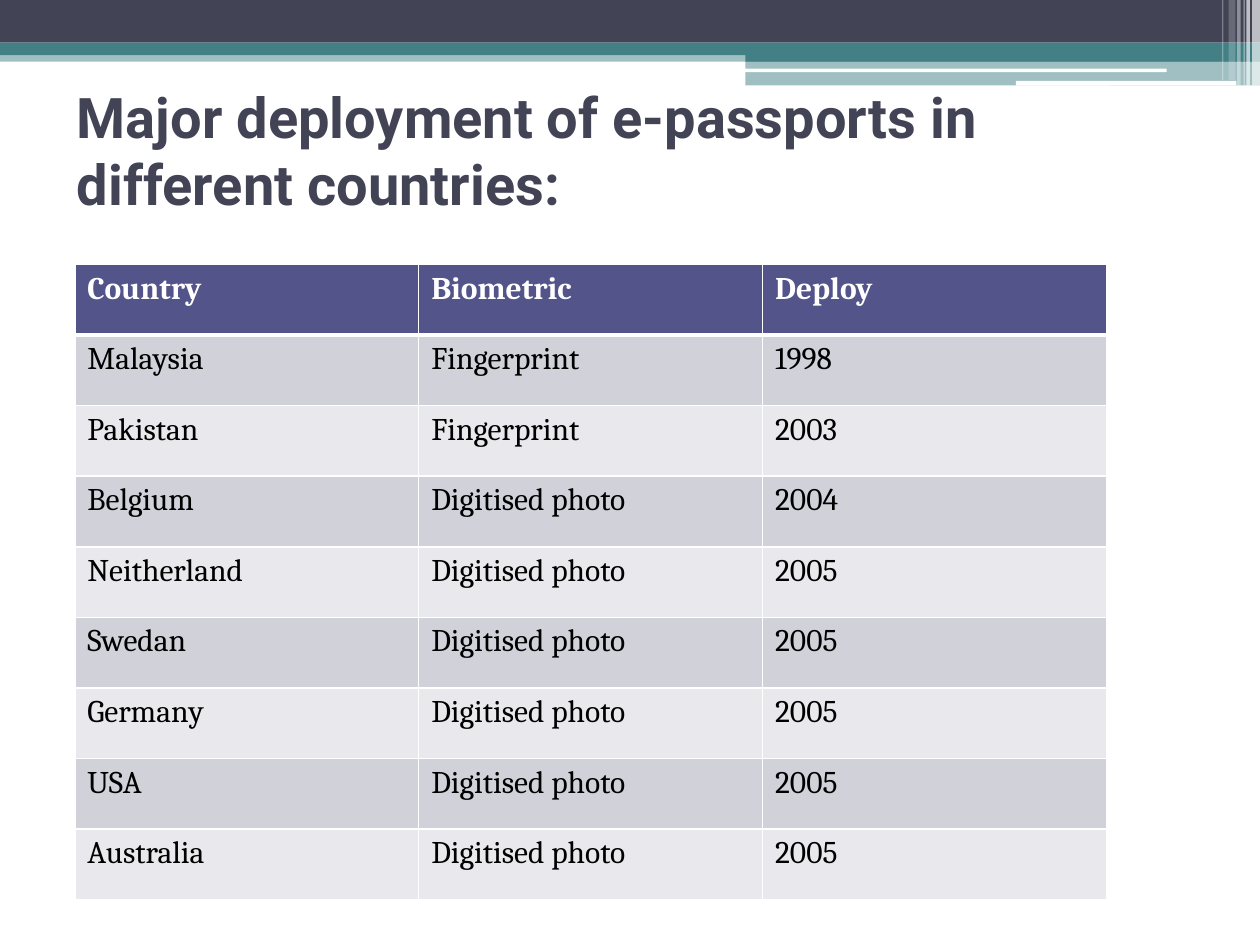
from lxml.etree import SubElement
from pptx import Presentation
from pptx.dml.color import RGBColor
from pptx.enum.shapes import MSO_SHAPE as Shape
from pptx.enum.text import MSO_ANCHOR as Anchor, MSO_AUTO_SIZE as AutoSize, PP_ALIGN as Align
from pptx.oxml.ns import qn
from pptx.util import Pt

WHITE = RGBColor(0xFF, 0xFF, 0xFF)
BLACK = RGBColor(0, 0, 0)
SLATE = RGBColor(0x42, 0x44, 0x56)
TEAL = RGBColor(0x43, 0x80, 0x86)
HEADER = RGBColor(0x53, 0x54, 0x8A)
ROW_DARK = RGBColor(0xD1, 0xD1, 0xDA)
ROW_LIGHT = RGBColor(0xE9, 0xE9, 0xED)

BANDS = [
    (0, 28.8, 720, 6.5, TEAL, 50),
    (0, 0, 720, 24.4, SLATE, 100),
    (0, 24.4, 720, 7.1, TEAL, 100),
    (426, 28, 294, 7.2, TEAL, 100),
    (426, 34.8, 294, 14, TEAL, 50),
]
HIGHLIGHTS = [(425.5, 39.2, 241.2, 2), (580.5, 46.3, 126, 2.6)]
STRIPES = [
    (715.5, 4.5, 49, 65),
    (712.2, 2, 49, 65),
    (710.6, 0.7, 49, 60),
    (707, 2, 49, 40),
    (702, 4, 46, 20),
    (698.4, 0.7, 46, 30),
]
ROWS = [
    ("Country", "Biometric", "Deploy"),
    ("Malaysia", "Fingerprint", "1998"),
    ("Pakistan", "Fingerprint", "2003"),
    ("Belgium", "Digitised photo", "2004"),
    ("Neitherland", "Digitised photo", "2005"),
    ("Swedan", "Digitised photo", "2005"),
    ("Germany", "Digitised photo", "2005"),
    ("USA", "Digitised photo", "2005"),
    ("Australia", "Digitised photo", "2005"),
]


def add_block(slide, kind, left, top, width, height, color, opacity=100):
    shape = slide.shapes.add_shape(kind, Pt(left), Pt(top), Pt(width), Pt(height))
    shape.shadow.inherit = False
    shape.line.fill.background()
    shape.fill.solid()
    shape.fill.fore_color.rgb = color
    if opacity < 100:
        color_element = shape.element.spPr.find(qn("a:solidFill"))[0]
        SubElement(color_element, qn("a:alpha"), val=str(opacity * 1000))


def add_banner(slide, left, top):
    for x, y, width, height, color, opacity in BANDS:
        add_block(slide, Shape.RECTANGLE, left + x, top + y, width, height, color, opacity)
    for x, y, width, height in HIGHLIGHTS:
        add_block(slide, Shape.ROUNDED_RECTANGLE, left + x, top + y, width, height, WHITE)
    for x, width, height, opacity in STRIPES:
        add_block(slide, Shape.RECTANGLE, left + x, top, width, height, WHITE, opacity)


def add_title(slide, left, top, width, height):
    title = slide.shapes.title
    title.left, title.top, title.width, title.height = Pt(left), Pt(top), Pt(width), Pt(height)
    title.element.getparent().append(title.element)
    frame = title.text_frame
    frame.text = "Major deployment of e-passports in different countries:"
    frame.word_wrap = True
    frame.auto_size = AutoSize.NONE
    frame.vertical_anchor = Anchor.MIDDLE
    paragraph = frame.paragraphs[0]
    paragraph.alignment = Align.LEFT
    font = paragraph.font
    font.name, font.size, font.bold = "Roboto", Pt(32), True
    font.color.rgb = SLATE


def set_borders(cell, bottom_width):
    properties = cell._tc.get_or_add_tcPr()
    for side, width in (("L", 1), ("R", 1), ("T", 1), ("B", bottom_width)):
        line = SubElement(properties, qn(f"a:ln{side}"), w=str(Pt(width)))
        fill = SubElement(line, qn("a:solidFill"))
        SubElement(fill, qn("a:srgbClr"), val=str(WHITE))


def add_country_table(slide, left, top, width, height):
    frame = slide.shapes.add_table(
        len(ROWS), len(ROWS[0]), Pt(left), Pt(top), Pt(width), Pt(height)
    )
    for row_index, row in enumerate(ROWS):
        is_header = row_index == 0
        row_color = HEADER if is_header else ROW_DARK if row_index % 2 else ROW_LIGHT
        for column_index, text in enumerate(row):
            cell = frame.table.cell(row_index, column_index)
            set_borders(cell, 3 if is_header else 1)
            cell.fill.solid()
            cell.fill.fore_color.rgb = row_color
            cell.text = text
            font = cell.text_frame.paragraphs[0].font
            font.name, font.size, font.bold = "Cambria", Pt(18), is_header
            font.color.rgb = WHITE if is_header else BLACK


def main():
    presentation = Presentation()
    presentation.slide_width, presentation.slide_height = Pt(720), Pt(540)
    slide = presentation.slides.add_slide(presentation.slide_layouts[5])
    add_banner(slide, 0, 0)
    add_country_table(slide, 42.75, 151.2, 589.5, 363)
    add_title(slide, 36.7, 43.2, 648, 84.2)
    presentation.save("out.pptx")


if __name__ == "__main__":
    main()
